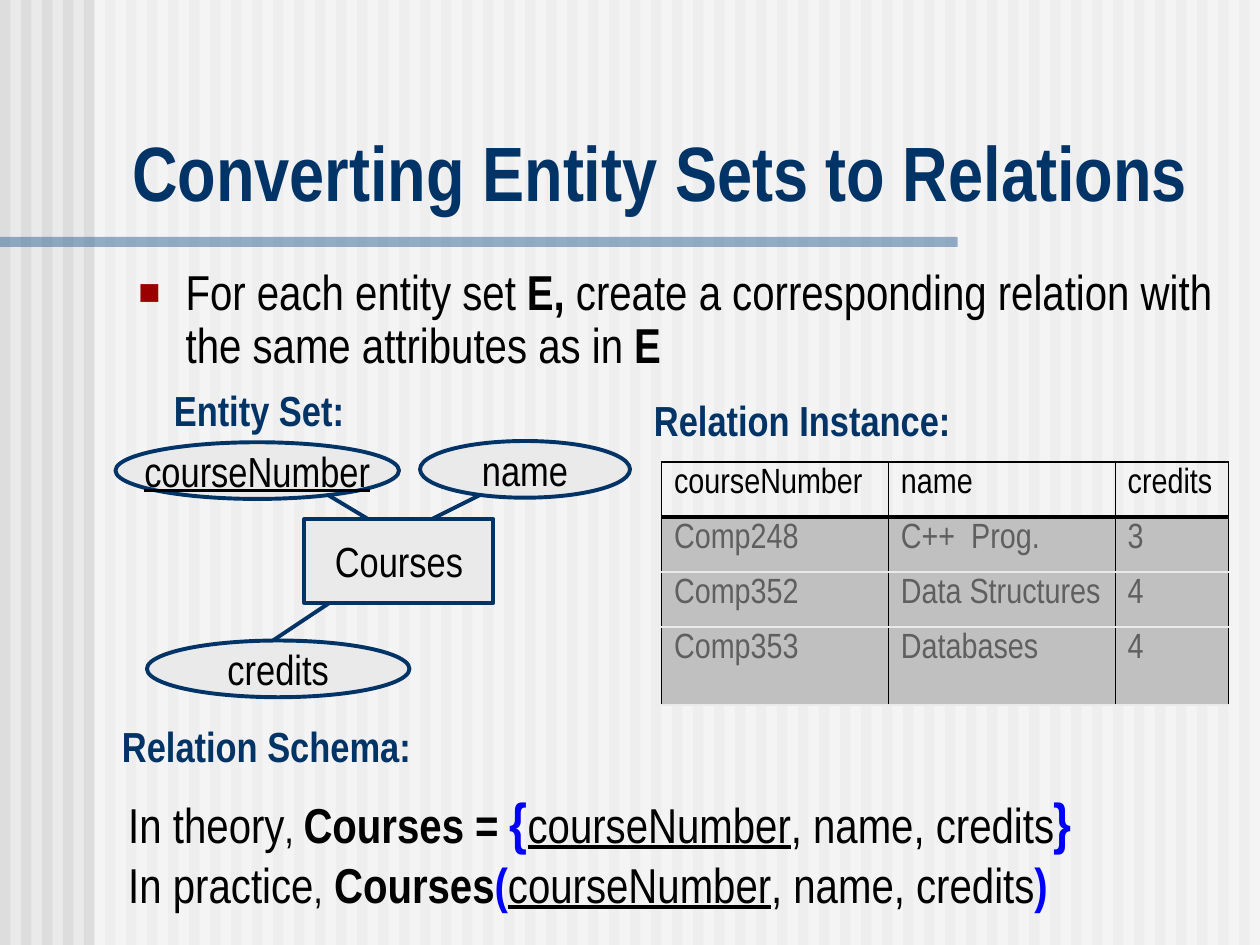
from lxml import etree
from pptx import Presentation, util as u
from pptx.dml.color import RGBColor
from pptx.enum import shapes, text
from pptx.oxml import ns

NAVY, BLACK, BLUE, PALE = "003366", "000000", "0000FF", "EAEAEA"
FONT = "Arial Narrow"
BOLD = {"bold": True}
KEY = {"underline": True}
TIGHT = {"word_wrap": False}


def colour(value):
    return RGBColor.from_string(value)


def assign(target, values):
    for name, value in values.items():
        setattr(target, name, value)


def add_child(parent, tag, **attributes):
    return etree.SubElement(parent, ns.qn(tag), attributes)


def lengths(*values):
    return [u.Pt(value) for value in values]


def write(para, spans, size, ink):
    for words, style in spans:
        span = para.add_run()
        span.text = words
        values = {"name": FONT, "size": u.Pt(size), "bold": False} | style
        span.font.color.rgb = colour(values.pop("ink", ink))
        assign(span.font, values)


def add_text(page, box, lines, size, ink, frame_style=None, para_style=None):
    frame = page.shapes.add_textbox(*lengths(*box)).text_frame
    assign(frame, {"word_wrap": True} | (frame_style or {}))
    for index, spans in enumerate(lines):
        para = frame.add_paragraph() if index else frame.paragraphs[0]
        assign(para, para_style or {})
        write(para, spans, size, ink)
    return frame


def add_block(page, kind, box, fill, alpha=None):
    block = page.shapes.add_shape(kind, *lengths(*box))
    block.shadow.inherit = False
    block.fill.solid()
    block.fill.fore_color.rgb = colour(fill)
    block.line.fill.background()
    if alpha:
        tint = block._element.spPr.find(ns.qn("a:solidFill"))[0]
        add_child(tint, "a:alpha", val=str(alpha * 1000))
    return block


def outline(line):
    line.color.rgb = colour(NAVY)
    line.width = u.Pt(2.25)


def draw_backdrop(page, box):
    left, top, width, height = box
    rect = shapes.MSO_SHAPE.RECTANGLE
    for offset in range(0, width, 12):
        add_block(page, rect, (left + offset, top, 6, height), "DDDDDD")
    add_block(page, rect, (left + 54, top, width - 54, height), "FFFFFF", 50)
    add_block(page, rect, (left, top + 135.3, 547.2, 5.8), "336699", 50)


def draw_title(page, box):
    add_text(page, box, [[("Converting Entity Sets to Relations", BOLD)]], 44, NAVY,
             {"vertical_anchor": text.MSO_ANCHOR.BOTTOM})


def draw_bullet(page, box):
    spans = [("For each entity set ", {}), ("E,", BOLD),
             (" create a corresponding relation with the same attributes as in ", {}),
             ("E", BOLD)]
    frame = add_text(page, box, [spans], 28, BLACK,
                     para_style={"line_spacing": 0.9, "space_before": u.Pt(17.5)})
    layout = frame.paragraphs[0]._p.get_or_add_pPr()
    layout.set("marL", str(u.Pt(27)))
    layout.set("indent", str(u.Pt(-27)))
    add_child(add_child(layout, "a:buClr"), "a:srgbClr", val="9A0000")
    add_child(layout, "a:buSzPct", val="75000")
    add_child(layout, "a:buFont", typeface="Arial")
    add_child(layout, "a:buChar", char="■")


def draw_heading(page, box, words):
    add_text(page, box, [[(words, BOLD)]], 24, NAVY, TIGHT,
             {"alignment": text.PP_ALIGN.CENTER})


def draw_entity_diagram(page, box):
    left, top = box[:2]
    oval, rect = shapes.MSO_SHAPE.OVAL, shapes.MSO_SHAPE.RECTANGLE
    links = [(126, 90, 90, 114), (120, 30, 150, 48), (210, 30, 174, 48)]
    nodes = [("courseNumber", oval, (0, 0.7, 162, 32.4), KEY),
             ("name", oval, (174, 0, 120, 32.4), {}),
             ("Courses", rect, (108, 44.6, 108, 48), {}),
             ("credits", oval, (18, 114, 150, 32.4), {})]
    for x1, y1, x2, y2 in links:
        ends = lengths(left + x1, top + y1, left + x2, top + y2)
        link = page.shapes.add_connector(shapes.MSO_CONNECTOR.STRAIGHT, *ends)
        outline(link.line)
        add_child(link._element.spPr, "a:effectLst")
    for words, kind, (x, y, width, height), style in nodes:
        node = add_block(page, kind, (left + x, top + y, width, height), PALE)
        outline(node.line)
        assign(node.text_frame, TIGHT | {"vertical_anchor": text.MSO_ANCHOR.MIDDLE})
        para = node.text_frame.paragraphs[0]
        para.alignment = text.PP_ALIGN.CENTER
        write(para, [(words, style)], 24, BLACK)


def add_borders(cell, borders):
    layout = cell._tc.get_or_add_tcPr()
    for side, (ink, width) in borders.items():
        line = add_child(layout, f"a:ln{side}", w=str(u.Pt(width)))
        add_child(add_child(line, "a:solidFill"), "a:srgbClr", val=ink)


def draw_relation_table(page, box):
    records = [("courseNumber", "name", "credits"),
               ("Comp248", "C++  Prog.", "3"),
               ("Comp352", "Data Structures", "4"),
               ("Comp353", "Databases", "4")]
    widths, heights = (129.6, 129.6, 64.8), (31.4, 31.4, 31.4, 44.6)
    table = page.shapes.add_table(len(heights), len(widths), *lengths(*box)).table
    assign(table, {"first_row": False, "horz_banding": False})
    for column, width in zip(table.columns, widths):
        column.width = u.Pt(width)
    for row, height in zip(table.rows, heights):
        row.height = u.Pt(height)
    rules = [(BLACK, 1.08), (BLACK, 3)] + [(PALE, 1.47)] * 3
    edges = [(BLACK, 1.08), (BLACK, 0.45), (BLACK, 0.45), (BLACK, 1.08)]
    for r, record in enumerate(records):
        for c, words in enumerate(record):
            cell = table.cell(r, c)
            add_borders(cell, {"L": edges[c], "R": edges[c + 1],
                               "T": rules[r], "B": rules[r + 1]})
            if r:
                cell.fill.solid()
                cell.fill.fore_color.rgb = colour("C0C0C0")
            else:
                cell.fill.background()
            para = cell.text_frame.paragraphs[0]
            if r < 2 or c:
                para.space_before = u.Pt(5)
            write(para, [(words, {})], 20, "5F5F5F" if r else BLACK)


def draw_schema(page, box):
    small = {"size": u.Pt(24)}
    bracket = BOLD | {"ink": BLUE}
    brace = bracket | {"size": u.Pt(32)}
    attributes = [("courseNumber", KEY), (", name, credits", {})]
    theory = [("In theory", {}), (", ", small), ("Courses = ", BOLD),
              ("{", brace), *attributes, ("}", brace)]
    practice = [("In practice", {}), (",", small), (" ", bracket), ("Courses", BOLD),
                ("(", bracket), *attributes, (")", bracket)]
    add_text(page, box, [theory, practice], 28, BLACK)


def main():
    deck = Presentation()
    assign(deck, {"slide_width": u.Pt(720), "slide_height": u.Pt(540)})
    page = deck.slides.add_slide(deck.slide_layouts[6])
    page.background.fill.solid()
    page.background.fill.fore_color.rgb = colour(PALE)
    draw_backdrop(page, (0, 0, 720, 540))
    draw_title(page, (68.4, 67.7, 643, 59.8))
    draw_bullet(page, (72, 149.8, 638.6, 72))
    draw_relation_table(page, (378, 264, 324, 138.8))
    draw_heading(page, (92.2, 216, 111.6, 36), "Entity Set:")
    draw_heading(page, (366.5, 221.8, 189.4, 36), "Relation Instance: ")
    draw_heading(page, (62.6, 408.2, 179.3, 36), "Relation Schema:")
    draw_schema(page, (66.2, 446.4, 613.4, 113))
    draw_entity_diagram(page, (66, 252, 294, 146.4))
    deck.save("out.pptx")


if __name__ == "__main__":
    main()
